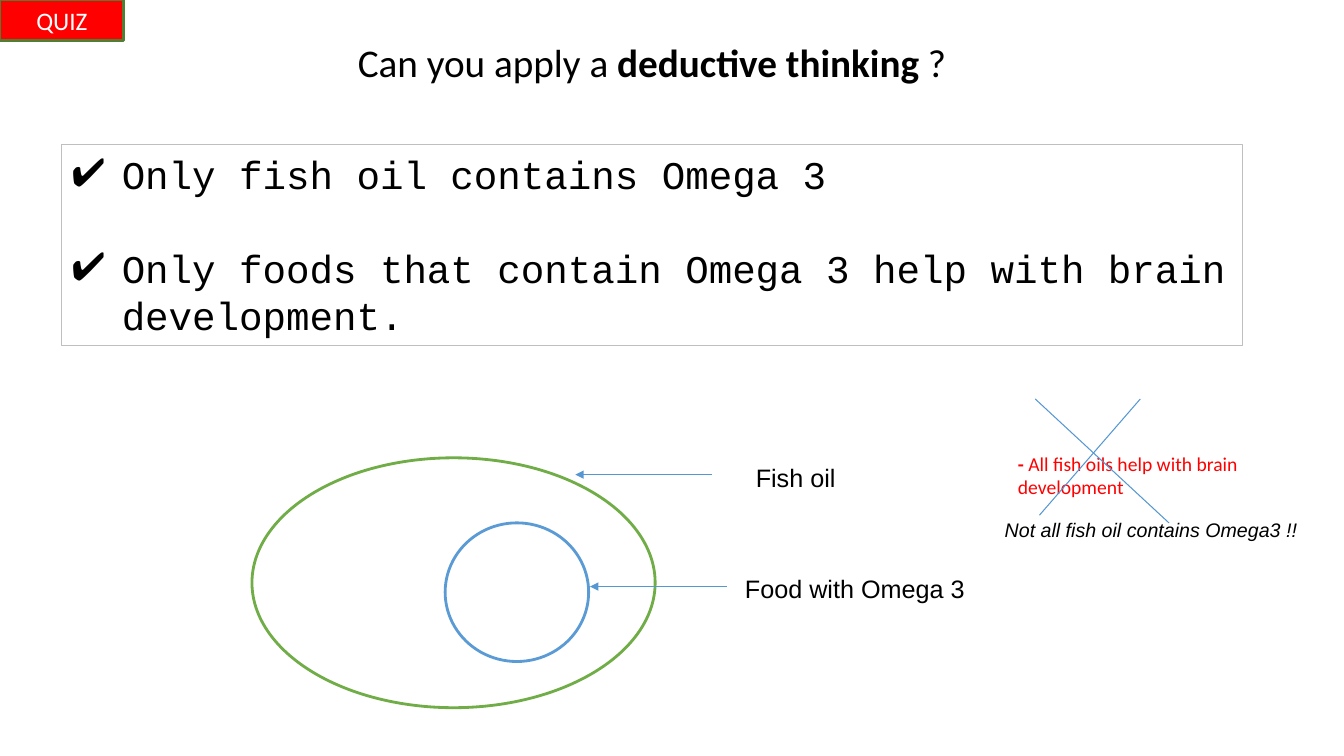
from dataclasses import dataclass

from lxml import etree
from pptx import Presentation
from pptx.dml.color import RGBColor
from pptx.enum.shapes import MSO_CONNECTOR, MSO_SHAPE
from pptx.enum.text import MSO_ANCHOR, PP_ALIGN
from pptx.oxml.ns import qn
from pptx.util import Pt

RECT, OVAL = MSO_SHAPE.RECTANGLE, MSO_SHAPE.OVAL
STRAIGHT = MSO_CONNECTOR.STRAIGHT
TOP, MIDDLE = MSO_ANCHOR.TOP, MSO_ANCHOR.MIDDLE
LEFT, CENTER = PP_ALIGN.LEFT, PP_ALIGN.CENTER

BLACK = RGBColor(0x00, 0x00, 0x00)
WHITE = RGBColor(0xFF, 0xFF, 0xFF)
RED = RGBColor(0xFF, 0x00, 0x00)
GRAY = RGBColor(0xBF, 0xBF, 0xBF)
GREEN = RGBColor(0x70, 0xAD, 0x47)
MOSS = RGBColor(0x51, 0x7E, 0x33)
BLUE = RGBColor(0x5B, 0x9B, 0xD5)
SKY = RGBColor(0x55, 0x97, 0xD3)

PITCH = 33.6  # line height of the premises
HANG = 36

Box = tuple[float, float, float, float]


@dataclass
class Form:
    kind: int
    box: Box
    line: RGBColor
    width: float
    fill: RGBColor | None = None


@dataclass
class Label:
    box: Box
    words: list[str]
    size: float
    font: str
    color: RGBColor = BLACK
    bold: int | None = None  # index of the bold words
    italic: bool = False


@dataclass
class Line:
    start: tuple[float, float]
    end: tuple[float, float]
    arrow: bool = False


PANEL = Form(RECT, (43.9, 103.5, 844, 143.3), GRAY, 0.75)
BADGE = Form(RECT, (0, 0, 88.5, 29), MOSS, 2, RED)
RINGS = [
    Form(OVAL, (180, 327, 288, 178.5), GREEN, 2, WHITE),
    Form(OVAL, (318, 373.5, 102.5, 99), BLUE, 2, WHITE),
]
PREMISES = [
    "Only fish oil contains Omega 3",
    "Only foods that contain Omega 3 help with brain development.",
]
LABELS = [
    Label((248.5, 23.8, 440.6, 41), ["Can you apply a ", "deductive thinking ", "?"],
          28, "Calibri", bold=1),
    Label((532.8, 327, 72.5, 29), ["Fish oil"], 18, "Arial"),
    Label((525, 406, 173, 29), ["Food with Omega 3"], 18, "Arial"),
    Label((720, 319, 218, 41), ["- ", "All fish oils help with brain development"],
          14, "Calibri", RED, bold=0),
    Label((710.6, 366.5, 225, 24.5), ["Not all fish oil contains Omega3 !!"],
          14, "Arial", italic=True),
]
LINES = [
    Line((508.5, 339), (411, 339), True),
    Line((519, 419), (421.5, 419), True),
    Line((739.5, 285), (835, 373.5)),
    Line((742.5, 368), (814.5, 285)),
]


def style(font, name: str, size: float, color: RGBColor) -> None:
    font.name, font.size = name, Pt(size)
    font.color.rgb = color


def add_form(slide, form: Form):
    shape = slide.shapes.add_shape(form.kind, *map(Pt, form.box))
    shape.shadow.inherit = False
    if form.fill is None:
        shape.fill.background()
    else:
        shape.fill.solid()
        shape.fill.fore_color.rgb = form.fill
    shape.line.color.rgb = form.line
    shape.line.width = Pt(form.width)
    return shape


def add_bullet(par) -> None:
    """Hang the paragraph behind a black check mark."""
    props = par._p.get_or_add_pPr()
    props.set("marL", str(Pt(HANG)))
    props.set("indent", str(-Pt(HANG)))
    color = etree.SubElement(props, qn("a:buClr"))
    etree.SubElement(color, qn("a:srgbClr"), val=str(BLACK))
    etree.SubElement(props, qn("a:buFont"), typeface="Arial")
    etree.SubElement(props, qn("a:buChar"), char="✔")


def add_panel(slide) -> None:
    frame = add_form(slide, PANEL).text_frame
    frame.text = "\n".join(PREMISES)
    frame.word_wrap = True
    frame.vertical_anchor = TOP
    for i, par in enumerate(frame.paragraphs):
        add_bullet(par)
        par.alignment = LEFT
        par.line_spacing = Pt(PITCH)
        if i:
            par.space_before = Pt(PITCH)
        style(par.runs[0].font, "Courier New", 28, BLACK)


def add_badge(slide) -> None:
    frame = add_form(slide, BADGE).text_frame
    frame.text = "QUIZ"
    frame.vertical_anchor = MIDDLE
    par = frame.paragraphs[0]
    par.alignment = CENTER
    style(par.runs[0].font, "Calibri", 18, WHITE)


def add_label(slide, label: Label) -> None:
    frame = slide.shapes.add_textbox(*map(Pt, label.box)).text_frame
    frame.word_wrap = True
    par = frame.paragraphs[0]
    for i, text in enumerate(label.words):
        run = par.add_run()
        run.text = text
        style(run.font, label.font, label.size, label.color)
        run.font.bold = i == label.bold
        run.font.italic = label.italic


def add_line(slide, line: Line) -> None:
    link = slide.shapes.add_connector(STRAIGHT, *map(Pt, line.start + line.end))
    link.line.color.rgb = SKY
    link.line.width = Pt(0.75)
    props = link._element.spPr
    if line.arrow:
        etree.SubElement(props.find(qn("a:ln")), qn("a:tailEnd"), type="triangle")
    etree.SubElement(props, qn("a:effectLst"))


def main() -> None:
    deck = Presentation()
    deck.slide_width, deck.slide_height = Pt(960), Pt(540)
    slide = deck.slides.add_slide(deck.slide_layouts[6])
    add_panel(slide)
    add_badge(slide)
    for ring in RINGS:
        add_form(slide, ring)
    for label in LABELS:
        add_label(slide, label)
    for line in LINES:
        add_line(slide, line)
    deck.save("out.pptx")


if __name__ == "__main__":
    main()
